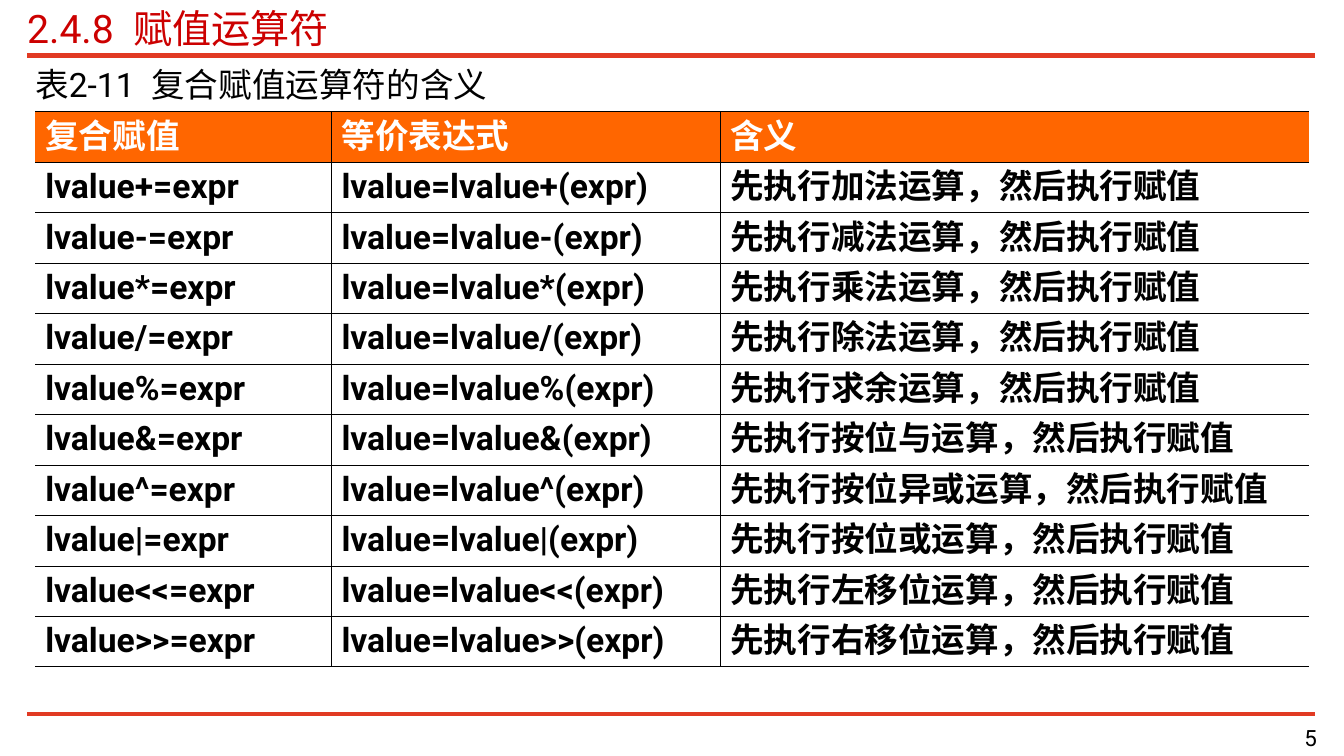
"""Build the slide on compound assignment operators."""
from lxml.etree import SubElement
from pptx import Presentation
from pptx.dml.color import RGBColor
from pptx.enum.shapes import MSO_CONNECTOR
from pptx.enum.text import MSO_ANCHOR, PP_ALIGN
from pptx.oxml.ns import qn
from pptx.util import Inches, Pt

RED = RGBColor(0xCC, 0x00, 0x00)
RULE = RGBColor(0xE1, 0x3A, 0x23)
ORANGE = RGBColor(0xFF, 0x66, 0x00)
BLACK = RGBColor(0x00, 0x00, 0x00)
WHITE = RGBColor(0xFF, 0xFF, 0xFF)
FACE = "Roboto"


def write(frame, text, size, color, bold=False):
    """Put one styled paragraph into a text frame."""
    para = frame.paragraphs[0]
    para.text = text
    font = para.font
    font.name, font.size, font.bold = FACE, Pt(size), bold
    font.color.rgb = color
    props = para._p.pPr.find(qn("a:defRPr"))
    SubElement(props, qn("a:ea"), typeface=FACE)
    return para


def edge(cell, side, width):
    """Draw one cell border, or none when the width is zero."""
    line = SubElement(cell._tc.get_or_add_tcPr(), qn(f"a:ln{side}"), w=str(Pt(width)))
    if width:
        fill = SubElement(line, qn("a:solidFill"))
        SubElement(fill, qn("a:srgbClr"), val=str(BLACK))
    else:
        SubElement(line, qn("a:noFill"))


deck = Presentation()
deck.slide_width, deck.slide_height = Inches(13.34), Inches(7.5)
slide = deck.slides.add_slide(deck.slide_layouts[6])
shapes = slide.shapes

for y, width in [(0.55, 4), (7.08, 3)]:
    rule = shapes.add_connector(
        MSO_CONNECTOR.STRAIGHT, Inches(0.27), Inches(y), Inches(13.05), Inches(y))
    rule.line.color.rgb = RULE
    rule.line.width = Pt(width)
    SubElement(rule._element.spPr, qn("a:effectLst"))

texts = [
    ("2.4.8  赋值运算符", 0.27, 0.04, 12.78, 0.47, 28, RED, PP_ALIGN.LEFT),
    ("表2-11  复合赋值运算符的含义", 0.35, 0.63, 12.64, 0.4, 24, BLACK, PP_ALIGN.LEFT),
    ("5", 10.39, 7.16, 2.68, 0.31, 16, BLACK, PP_ALIGN.RIGHT),
]
for text, x, y, w, h, size, color, align in texts:
    frame = shapes.add_textbox(Inches(x), Inches(y), Inches(w), Inches(h)).text_frame
    frame.word_wrap = True
    frame.vertical_anchor = MSO_ANCHOR.MIDDLE
    frame.margin_left = frame.margin_right = frame.margin_top = frame.margin_bottom = 0
    write(frame, text, size, color).alignment = align

ops = [
    ("+", "加法"), ("-", "减法"), ("*", "乘法"), ("/", "除法"), ("%", "求余"),
    ("&", "按位与"), ("^", "按位异或"), ("|", "按位或"), ("<<", "左移位"), (">>", "右移位"),
]
rows = [("复合赋值", "等价表达式", "含义")]
for sign, name in ops:
    rows.append((f"lvalue{sign}=expr", f"lvalue=lvalue{sign}(expr)",
                 f"先执行{name}运算，然后执行赋值"))

widths = [2.94, 3.86, 5.84]
table = shapes.add_table(
    len(rows), len(widths), Inches(0.35), Inches(1.11), Inches(12.64), Inches(5.5)).table
table.horz_banding = False
for column, width in zip(table.columns, widths):
    column.width = Inches(width)

last = len(rows) - 1
for r, row in enumerate(rows):
    table.rows[r].height = Inches(0.5)
    for c, text in enumerate(row):
        cell = table.cell(r, c)
        write(cell.text_frame, text, 24, BLACK if r else WHITE, True)
        edge(cell, "L", 0.45 if c else 0)
        edge(cell, "R", 0.45 if c < 2 else 0)
        edge(cell, "T", 0.45 if r > 1 else 0.62)
        edge(cell, "B", 0.62 if r in (0, last) else 0.45)
        if r:
            cell.fill.background()
        else:
            cell.fill.solid()
            cell.fill.fore_color.rgb = ORANGE

deck.save("out.pptx")
